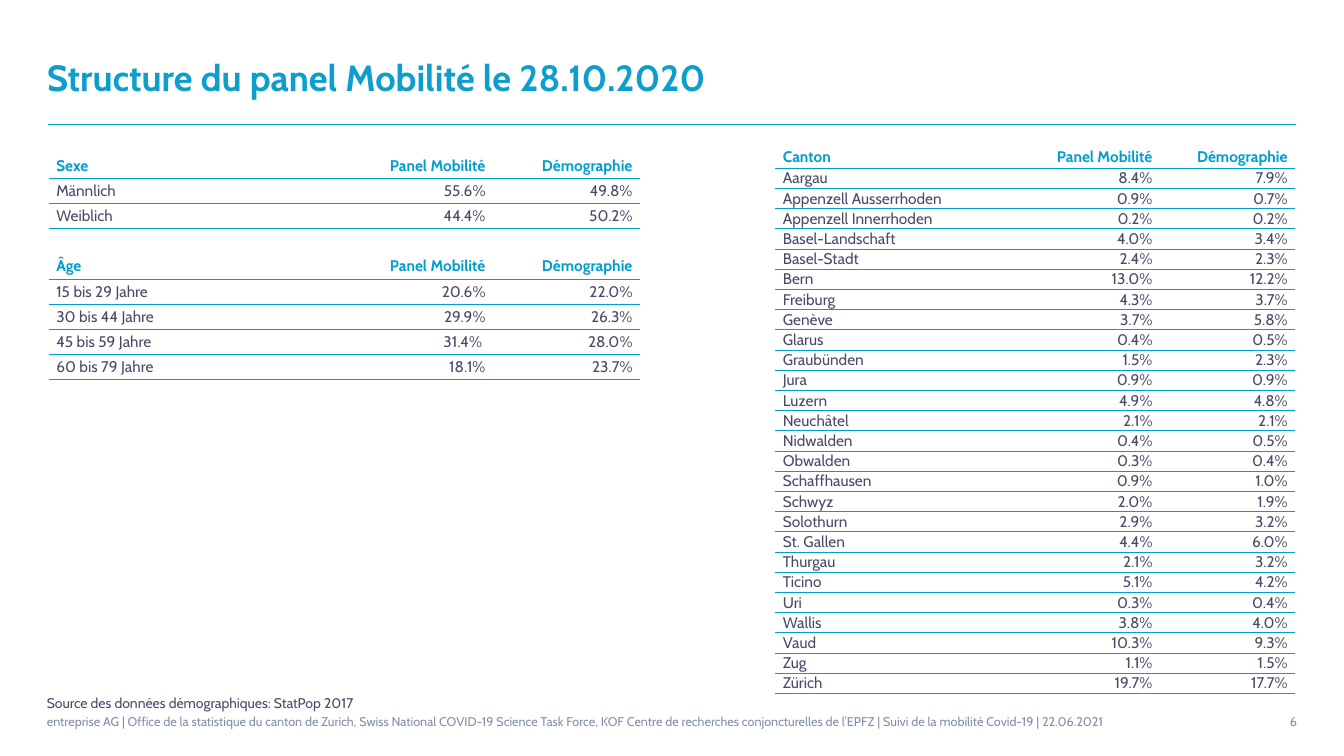
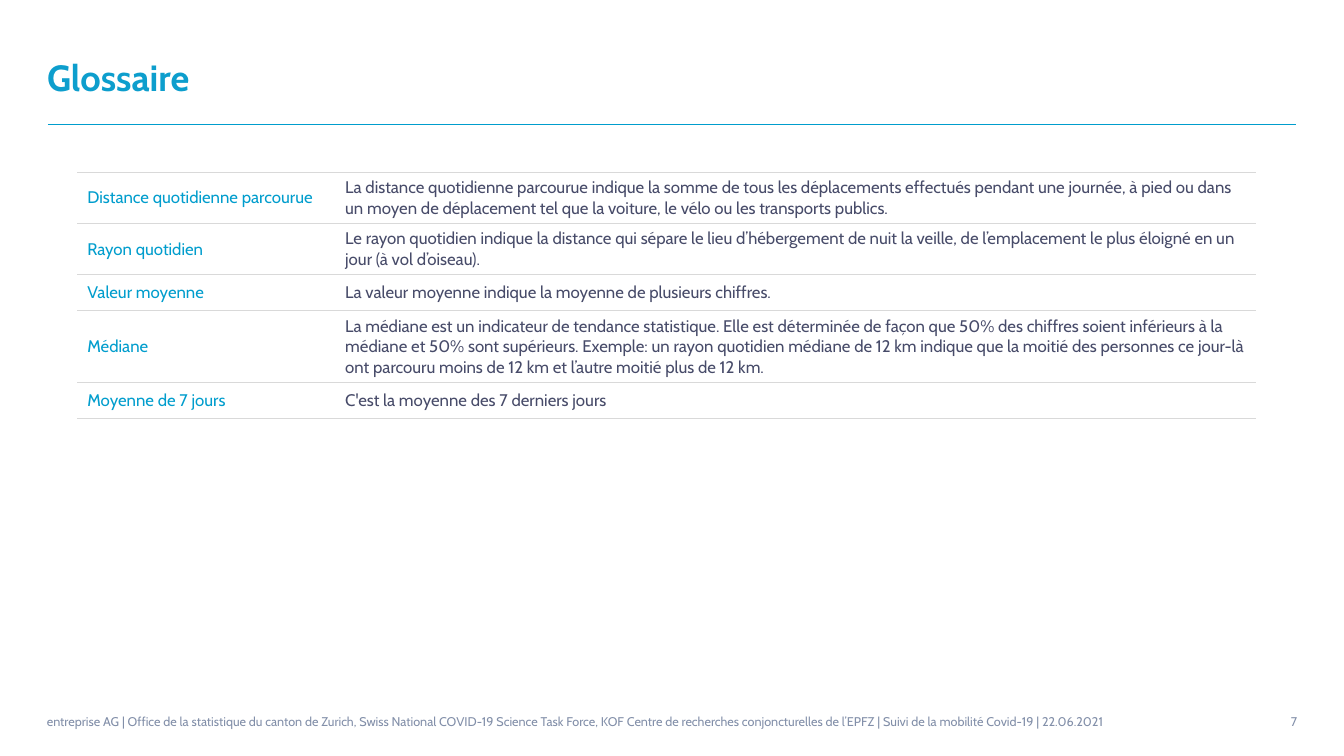
"""Build the panel structure and glossary slides."""
from lxml.etree import SubElement
from pptx import Presentation
from pptx.dml.color import RGBColor
from pptx.enum.shapes import MSO_CONNECTOR
from pptx.enum.text import MSO_ANCHOR as ANCHOR, PP_ALIGN as ALIGN
from pptx.oxml import parse_xml
from pptx.oxml.ns import nsdecls, qn
from pptx.util import Emu, Pt

COLORS = {"title": "0D9ECD", "accent": "009DCD", "body": "474B69",
          "footer": "828FA9", "rule": "D9D9D9"}
FONT = "Cabin"
EMU_PER_PIXEL = 7620
PLAIN_TABLE_STYLE = "{2D5ABB26-0587-4C30-8999-92F81FD0307C}"

FOOTER = ("entreprise AG | Office de la statistique du canton de Zurich, Swiss National "
          "COVID-19 Science Task Force, KOF Centre de recherches conjoncturelles de l’EPFZ"
          " | Suivi de la mobilité Covid-19 | 22.06.2021")
PANEL_TITLE = "Structure du panel Mobilité le 28.10.2020"
GLOSSARY_TITLE = "Glossaire"
SOURCE_NOTE = "Source des données démographiques: StatPop 2017"

MEASURES = ("Panel Mobilité", "Démographie")
GENDERS = [
    ("Männlich", "55.6%", "49.8%"),
    ("Weiblich", "44.4%", "50.2%"),
]
AGES = [
    ("15 bis 29 Jahre", "20.6%", "22.0%"),
    ("30 bis 44 Jahre", "29.9%", "26.3%"),
    ("45 bis 59 Jahre", "31.4% ", "28.0%"),
    ("60 bis 79 Jahre", "18.1%", "23.7%"),
]
CANTONS = [
    ("Aargau", "8.4%", "7.9%"),
    ("Appenzell Ausserrhoden", "0.9%", "0.7%"),
    ("Appenzell Innerrhoden", "0.2%", "0.2%"),
    ("Basel-Landschaft", "4.0%", "3.4%"),
    ("Basel-Stadt", "2.4%", "2.3%"),
    ("Bern", "13.0%", "12.2%"),
    ("Freiburg", "4.3%", "3.7%"),
    ("Genève", "3.7%", "5.8%"),
    ("Glarus", "0.4%", "0.5%"),
    ("Graubünden", "1.5%", "2.3%"),
    ("Jura", "0.9%", "0.9%"),
    ("Luzern", "4.9%", "4.8%"),
    ("Neuchâtel", "2.1%", "2.1%"),
    ("Nidwalden", "0.4%", "0.5%"),
    ("Obwalden", "0.3%", "0.4%"),
    ("Schaffhausen", "0.9%", "1.0%"),
    ("Schwyz", "2.0%", "1.9%"),
    ("Solothurn", "2.9%", "3.2%"),
    ("St. Gallen", "4.4%", "6.0%"),
    ("Thurgau", "2.1%", "3.2%"),
    ("Ticino", "5.1%", "4.2%"),
    ("Uri", "0.3%", "0.4%"),
    ("Wallis", "3.8%", "4.0%"),
    ("Vaud", "10.3%", "9.3%"),
    ("Zug", "1.1%", "1.5%"),
    ("Zürich", "19.7%", "17.7%"),
]
GLOSSARY = [
    ("Distance quotidienne parcourue",
     "La distance quotidienne parcourue indique la somme de tous les déplacements effectués "
     "pendant une journée, à pied ou dans un moyen de déplacement tel que la voiture, le vélo "
     "ou les transports publics."),
    ("Rayon quotidien",
     "Le rayon quotidien indique la distance qui sépare le lieu d’hébergement de nuit la "
     "veille, de l’emplacement le plus éloigné en un jour (à vol d’oiseau)."),
    ("Valeur moyenne", "La valeur moyenne indique la moyenne de plusieurs chiffres."),
    ("Médiane",
     "La médiane est un indicateur de tendance statistique. Elle est déterminée de façon que "
     "50% des chiffres soient inférieurs à la médiane et 50% sont supérieurs. Exemple: un "
     "rayon quotidien médiane de 12 km indique que la moitié des personnes ce jour-là ont "
     "parcouru moins de 12 km et l’autre moitié plus de 12 km."),
    ("Moyenne de 7 jours", "C'est la moyenne des 7 derniers jours"),
]
GLOSSARY_HEIGHTS = [61, 61, 43, 85, 43]


def px(value):
    return Emu(value * EMU_PER_PIXEL)


def write(frame, text, color, size, bold=False, align=ALIGN.LEFT):
    paragraph = frame.paragraphs[0]
    paragraph.text = text
    paragraph.alignment = align
    for name, value in {"name": FONT, "size": Pt(size), "bold": bold}.items():
        setattr(paragraph.font, name, value)
    paragraph.font.color.rgb = RGBColor.from_string(COLORS[color])


def add_text(slide, box, text, color, size, align=ALIGN.LEFT):
    frame = slide.shapes.add_textbox(*map(px, box)).text_frame
    frame.word_wrap = True
    frame.vertical_anchor = ANCHOR.MIDDLE
    write(frame, text, color, size, align=align)


def add_slide(presentation, title):
    slide = presentation.slides.add_slide(presentation.slide_layouts[5])
    shape = slide.shapes.title
    box = {"left": 44, "top": 35, "width": 1260, "height": 113}
    for name, value in box.items():
        setattr(shape, name, px(value))
    shape.text_frame.vertical_anchor = ANCHOR.MIDDLE
    write(shape.text_frame, title, "title", 26, bold=True)

    line = slide.shapes.add_connector(MSO_CONNECTOR.STRAIGHT, *map(px, (57, 148, 1543, 148)))
    line.line.width = Pt(0.25)
    line.line.color.rgb = RGBColor.from_string(COLORS["accent"])
    SubElement(line._element.spPr, qn("a:effectLst"))

    add_text(slide, (44, 828, 1404, 62), FOOTER, "footer", 9)
    number = str(len(presentation.slides) + 5)
    add_text(slide, (1304, 828, 252, 62), number, "footer", 9, ALIGN.RIGHT)
    return slide


def add_border(cell, side, color, points):
    properties = cell._tc.get_or_add_tcPr()
    border = parse_xml(
        f'<a:{side} {nsdecls("a")} w="{Pt(points)}"><a:solidFill>'
        f'<a:srgbClr val="{COLORS[color]}"/></a:solidFill></a:{side}>')
    properties.insert(len(properties.findall(qn("a:lnT"))), border)


def add_grid(slide, left, top, widths, heights, rows):
    shape = slide.shapes.add_table(
        len(rows), len(widths), *map(px, (left, top, sum(widths), sum(heights))))
    table = shape.table
    table.first_row = table.horz_banding = False
    table._tbl.tblPr.find(qn("a:tableStyleId")).text = PLAIN_TABLE_STYLE
    for column, width in zip(table.columns, widths):
        column.width = px(width)
    for row, height in zip(table.rows, heights):
        row.height = px(height)
    for cell in table.iter_cells():
        cell.fill.background()
        cell.vertical_anchor = ANCHOR.MIDDLE
    return table


def add_statistics(slide, left, top, widths, height, groups, padding):
    rows = []
    for index, (name, entries) in enumerate(groups):
        if index:
            rows.append(("", "", ""))
        rows += [(name, *MEASURES), *entries]
    table = add_grid(slide, left, top, widths, [height] * len(rows), rows)
    for table_row, texts in zip(table.rows, rows):
        header = texts[1:] == MEASURES
        inset = 2 if header else padding
        margins = {"margin_left": 9, "margin_right": 9,
                   "margin_top": inset, "margin_bottom": inset}
        for column, (cell, text) in enumerate(zip(table_row.cells, texts)):
            for name, value in margins.items():
                setattr(cell, name, px(value))
            write(cell.text_frame, text, "accent" if header else "body", 11, header,
                  ALIGN.RIGHT if column else ALIGN.LEFT)
            if texts[0]:
                add_border(cell, "lnB", "accent", 0.5)


def add_glossary(slide):
    table = add_grid(slide, 92, 205, (307, 1096), GLOSSARY_HEIGHTS, GLOSSARY)
    for index, (table_row, texts) in enumerate(zip(table.rows, GLOSSARY)):
        for cell, text, color in zip(table_row.cells, texts, ("accent", "body")):
            write(cell.text_frame, text, color, 12)
            for side in ("lnB",) if index else ("lnT", "lnB"):
                add_border(cell, side, "rule", 0.75)


def main():
    presentation = Presentation()
    presentation.slide_width, presentation.slide_height = px(1600), px(900)

    panel = add_slide(presentation, PANEL_TITLE)
    add_statistics(panel, 923, 174, (278, 180, 161), 24, [("Canton", CANTONS)], 1)
    add_statistics(panel, 58, 182, (335, 194, 175), 30, [("Sexe", GENDERS), ("Âge", AGES)], 2)
    add_text(panel, (44, 822, 840, 30), SOURCE_NOTE, "body", 10)

    add_glossary(add_slide(presentation, GLOSSARY_TITLE))
    presentation.save("out.pptx")


if __name__ == "__main__":
    main()
